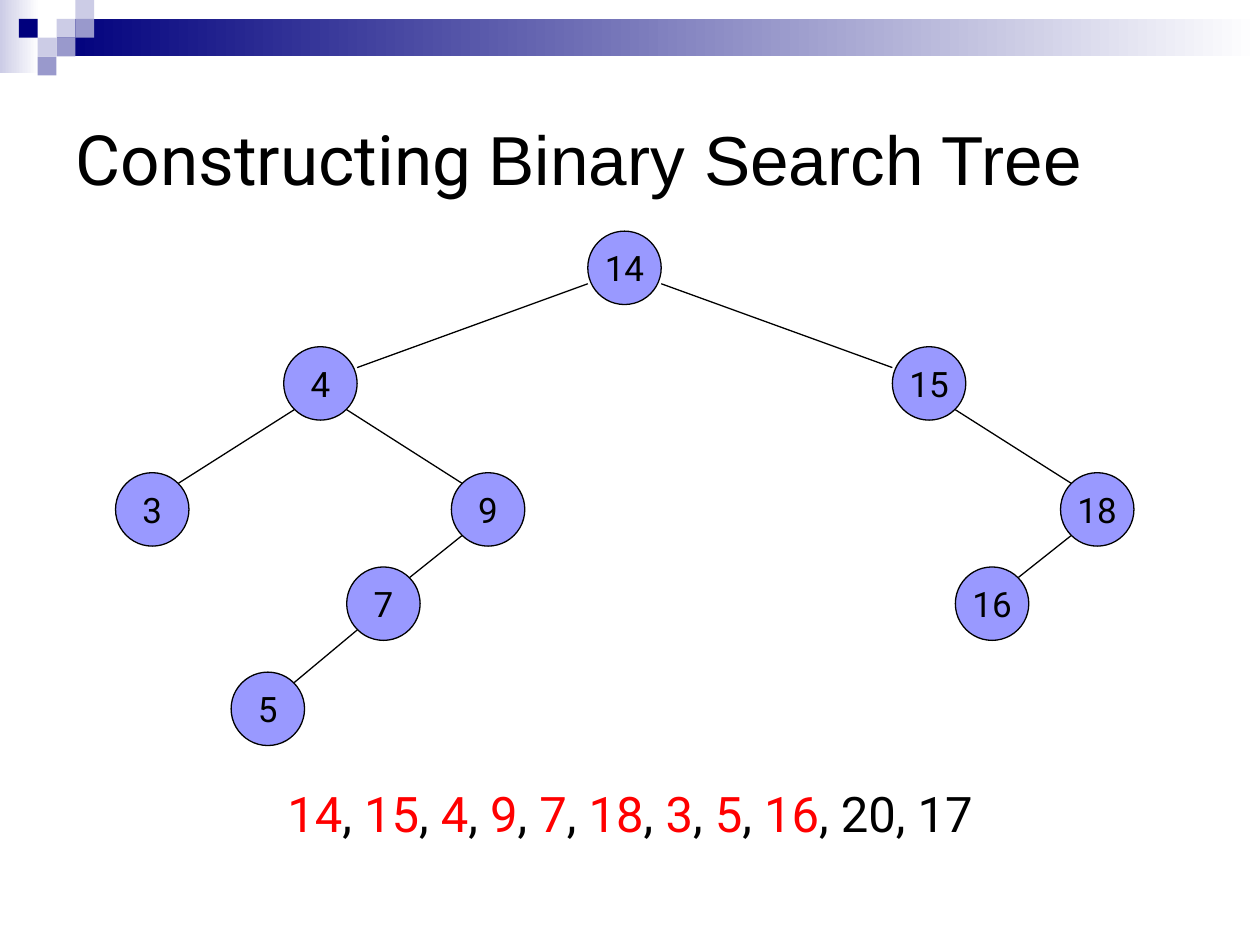
"""Build a slide showing a binary search tree grown from a key sequence."""
from dataclasses import dataclass

from lxml.etree import SubElement
from pptx import Presentation
from pptx.dml.color import RGBColor
from pptx.enum.shapes import MSO_CONNECTOR as Connector, MSO_SHAPE as Shape
from pptx.enum.text import MSO_ANCHOR as Anchor, PP_ALIGN as Align
from pptx.oxml.ns import qn
from pptx.shapes.autoshape import Shape as AutoShape
from pptx.slide import Slide
from pptx.text.text import _Paragraph as Paragraph
from pptx.util import Cm, Pt


@dataclass(frozen=True)
class Theme:
    text: RGBColor = RGBColor(0x00, 0x00, 0x00)
    inserted: RGBColor = RGBColor(0xFF, 0x00, 0x00)
    node: RGBColor = RGBColor(0x99, 0x99, 0xFF)
    navy: RGBColor = RGBColor(0x00, 0x00, 0x7D)
    medium: RGBColor = RGBColor(0x99, 0x99, 0xCC)
    pale: RGBColor = RGBColor(0xCC, 0xCC, 0xE6)
    background: RGBColor = RGBColor(0xFF, 0xFF, 0xFF)
    font: str = "Roboto"
    title_font: str = "Arial"
    title_size: float = 39.6
    sequence_size: float = 28
    node_size: float = 20
    line_width: float = 0.75


@dataclass(frozen=True)
class Node:
    key: int
    left: float
    top: float


@dataclass(frozen=True)
class Edge:
    parent: int
    child: int
    inset_x: float = 0.21
    inset_y: float = 0.21


@dataclass(frozen=True)
class Square:
    column: int
    row: int
    color: RGBColor


THEME = Theme()
DIAMETER = 1.48
UNIT = 0.38
WIDTH, HEIGHT = 25.4, 19.05
LEVELS = (4.66, 6.99, 9.53, 11.43, 13.55)

NODES = (
    Node(14, 11.85, LEVELS[0]),
    Node(15, 17.99, LEVELS[1]),
    Node(4, 5.72, LEVELS[1]),
    Node(9, 9.1, LEVELS[2]),
    Node(7, 6.99, LEVELS[3]),
    Node(18, 21.38, LEVELS[2]),
    Node(3, 2.33, LEVELS[2]),
    Node(5, 4.66, LEVELS[4]),
    Node(16, 19.26, LEVELS[3]),
)
EDGES = (
    Edge(14, 15, 0, 0.42),
    Edge(14, 4, 0, 0.42),
    Edge(4, 9),
    Edge(9, 7),
    Edge(15, 18),
    Edge(4, 3),
    Edge(7, 5),
    Edge(18, 16),
)
SQUARES = (
    Square(3, 1, THEME.pale),
    Square(4, 0, THEME.pale),
    Square(4, 1, THEME.medium),
    Square(2, 2, THEME.pale),
    Square(1, 1, THEME.navy),
    Square(3, 2, THEME.medium),
    Square(2, 3, THEME.medium),
)
SEQUENCE = (14, 15, 4, 9, 7, 18, 3, 5, 16, 20, 17)


def add_run(paragraph: Paragraph, text: str, font: str, size: float, color: RGBColor) -> None:
    run = paragraph.add_run()
    run.text = text
    run.font.name = font
    run.font.size = Pt(size)
    run.font.color.rgb = color


def add_block(slide: Slide, left: float, top: float, width: float, height: float) -> AutoShape:
    shape = slide.shapes.add_shape(Shape.RECTANGLE, Cm(left), Cm(top), Cm(width), Cm(height))
    shape.shadow.inherit = False
    shape.line.fill.background()
    return shape


def fade(shape: AutoShape, color: RGBColor) -> None:
    shape.fill.gradient()
    shape.fill.gradient_angle = 0
    for stop, stop_color in zip(shape.fill.gradient_stops, (color, THEME.background)):
        stop.color.rgb = stop_color


def draw_banner(slide: Slide) -> None:
    fade(add_block(slide, 0, 0, 0.79, 1.47), THEME.pale)
    bar_left = 3 * UNIT
    fade(add_block(slide, bar_left, UNIT, WIDTH - bar_left, 2 * UNIT), THEME.navy)
    for square in SQUARES:
        shape = add_block(slide, square.column * UNIT, square.row * UNIT, UNIT, UNIT)
        shape.fill.solid()
        shape.fill.fore_color.rgb = square.color


def draw_title(slide: Slide) -> None:
    title = slide.shapes.title
    title.left, title.top, title.width, title.height = Cm(1.27), Cm(1.27), Cm(22.86), Cm(3.81)
    title.text_frame.vertical_anchor = Anchor.MIDDLE
    paragraph = title.text_frame.paragraphs[0]
    paragraph.alignment = Align.LEFT
    add_run(paragraph, "Constructing ", THEME.font, THEME.title_size, THEME.text)
    add_run(paragraph, "Binary Search Tree", THEME.title_font, THEME.title_size, THEME.text)


def draw_sequence(slide: Slide, inserted: set[int]) -> None:
    box = slide.shapes.add_textbox(Cm(1.27), Cm(15.67), Cm(22.86), Cm(1.9))
    box.text_frame.word_wrap = True
    paragraph = box.text_frame.paragraphs[0]
    paragraph.alignment = Align.CENTER
    for index, key in enumerate(SEQUENCE):
        if index:
            add_run(paragraph, ", ", THEME.font, THEME.sequence_size, THEME.text)
        color = THEME.inserted if key in inserted else THEME.text
        add_run(paragraph, str(key), THEME.font, THEME.sequence_size, color)


def draw_node(slide: Slide, node: Node) -> None:
    shape = slide.shapes.add_shape(
        Shape.OVAL, Cm(node.left), Cm(node.top), Cm(DIAMETER), Cm(DIAMETER)
    )
    shape.shadow.inherit = False
    shape.fill.solid()
    shape.fill.fore_color.rgb = THEME.node
    shape.line.color.rgb = THEME.text
    shape.line.width = Pt(THEME.line_width)
    frame = shape.text_frame
    frame.margin_left = frame.margin_right = frame.margin_top = frame.margin_bottom = 0
    frame.word_wrap = False
    frame.vertical_anchor = Anchor.MIDDLE
    frame.paragraphs[0].alignment = Align.CENTER
    add_run(frame.paragraphs[0], str(node.key), THEME.font, THEME.node_size, THEME.text)


def draw_edge(slide: Slide, edge: Edge, parent: Node, child: Node) -> None:
    near, far = edge.inset_x, DIAMETER - edge.inset_x
    start, end = (far, near) if child.left > parent.left else (near, far)
    connector = slide.shapes.add_connector(
        Connector.STRAIGHT,
        Cm(parent.left + start),
        Cm(parent.top + DIAMETER - edge.inset_y),
        Cm(child.left + end),
        Cm(child.top + edge.inset_y),
    )
    connector.line.color.rgb = THEME.text
    connector.line.width = Pt(THEME.line_width)
    SubElement(connector.element.spPr, qn("a:effectLst"))


def main() -> None:
    presentation = Presentation()
    presentation.slide_width, presentation.slide_height = Cm(WIDTH), Cm(HEIGHT)
    slide = presentation.slides.add_slide(presentation.slide_layouts[5])
    nodes = {node.key: node for node in NODES}
    draw_banner(slide)
    draw_title(slide)
    draw_sequence(slide, set(nodes))
    for node in NODES:
        draw_node(slide, node)
    for edge in EDGES:
        draw_edge(slide, edge, nodes[edge.parent], nodes[edge.child])
    presentation.save("out.pptx")


if __name__ == "__main__":
    main()
